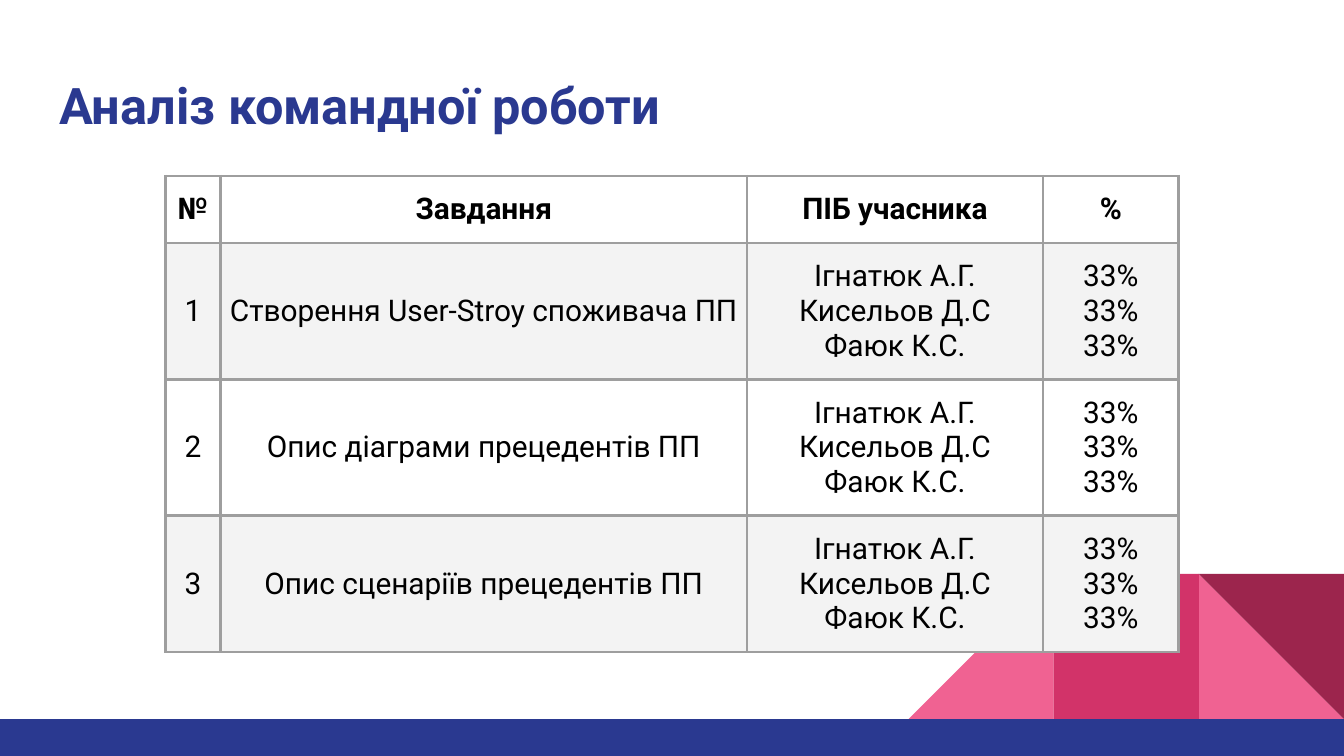
from lxml import etree
from pptx import Presentation, util as u
from pptx.dml.color import RGBColor
from pptx.enum import shapes, text
from pptx.oxml import ns

COLORS = {
    "navy": "2A3990", "pink": "F06292", "rose": "D23369", "wine": "9C254D",
    "black": "000000", "white": "FFFFFF", "stripe": "F3F3F3", "border": "9E9E9E",
}
FONT = "Roboto"
MEMBERS = "Ігнатюк А.Г.\nКисельов Д.С\nФаюк К.С."
SHARES = "\n".join(["33%"] * 3)
HEADER = ["№", "Завдання", "ПІБ учасника", "%"]
TASKS = [
    "Створення User-Stroy споживача ПП",
    "Опис діаграми прецедентів ПП",
    "Опис сценаріїв прецедентів ПП",
]
COLUMN_WIDTHS = [0.41, 3.92, 2.2, 1.01]
HEADER_HEIGHT, TASK_HEIGHT = 0.32, 0.61
TILE = 1.08


def color(name):
    """Return the named colour."""
    return RGBColor.from_string(COLORS[name])


def format_text(frame, size, color_name, bold, alignment):
    """Format every paragraph and run of a text frame."""
    for paragraph in frame.paragraphs:
        paragraph.alignment = alignment
        for run in paragraph.runs:
            run.font.name = FONT
            run.font.size = u.Pt(size)
            run.font.bold = bold
            run.font.color.rgb = color(color_name)


def add_block(slide, kind, left, top, width, height, fill, rotation=0):
    """Add a plain filled shape without a line."""
    shape = slide.shapes.add_shape(
        kind, u.Inches(left), u.Inches(top), u.Inches(width), u.Inches(height))
    shape.shadow.inherit = False
    shape.fill.solid()
    shape.fill.fore_color.rgb = color(fill)
    shape.line.fill.background()
    shape.rotation = rotation


def add_decoration(slide):
    """Add the corner tiles and the bottom bar."""
    triangle = shapes.MSO_SHAPE.RIGHT_TRIANGLE
    rectangle = shapes.MSO_SHAPE.RECTANGLE
    tiles = [
        (triangle, 2, "pink", 0),
        (triangle, 0, "pink", 270),
        (rectangle, 1, "rose", 0),
        (triangle, 2, "wine", 180),
    ]
    for kind, column, fill, rotation in tiles:
        add_block(slide, kind, 6.76 + column * TILE, 4.27, TILE, TILE, fill, rotation)
    add_block(slide, rectangle, 0, 5.35, 10, 0.28, "navy")


def set_title(slide, title):
    """Place and format the slide title."""
    shape = slide.shapes.title
    shape.left, shape.top = u.Inches(0.34), u.Inches(0.45)
    shape.width, shape.height = u.Inches(9.32), u.Inches(0.66)
    frame = shape.text_frame
    frame.text = title
    frame.margin_left = frame.margin_right = u.Inches(0.1)
    frame.margin_top = frame.margin_bottom = u.Inches(0.1)
    frame.vertical_anchor = text.MSO_ANCHOR.MIDDLE
    format_text(frame, 27, "navy", True, text.PP_ALIGN.LEFT)


def set_borders(cell):
    """Draw all four borders of a table cell."""
    properties = cell._tc.get_or_add_tcPr()
    for index, side in enumerate(["lnL", "lnR", "lnT", "lnB"]):
        line = etree.Element(ns.qn(f"a:{side}"), w=str(u.Pt(1.5)))
        fill = etree.SubElement(line, ns.qn("a:solidFill"))
        etree.SubElement(fill, ns.qn("a:srgbClr"), val=COLORS["border"])
        properties.insert(index, line)


def fill_cell(cell, content, fill, bold):
    """Write and format one table cell."""
    cell.text_frame.text = content
    cell.margin_left = cell.margin_right = u.Inches(0.06)
    cell.margin_top = cell.margin_bottom = u.Inches(0.12)
    cell.vertical_anchor = text.MSO_ANCHOR.MIDDLE
    format_text(cell.text_frame, 16, "black", bold, text.PP_ALIGN.CENTER)
    cell.fill.solid()
    cell.fill.fore_color.rgb = color(fill)
    set_borders(cell)


def add_task_table(slide):
    """Add the table of tasks, members and shares."""
    rows = [HEADER] + [
        [str(number), task, MEMBERS, SHARES] for number, task in enumerate(TASKS, 1)]
    heights = [HEADER_HEIGHT] + [TASK_HEIGHT] * len(TASKS)
    table = slide.shapes.add_table(
        len(rows), len(HEADER), u.Inches(1.23), u.Inches(1.31),
        u.Inches(sum(COLUMN_WIDTHS)), u.Inches(sum(heights))).table
    for column, width in zip(table.columns, COLUMN_WIDTHS):
        column.width = u.Inches(width)
    for index, (contents, height) in enumerate(zip(rows, heights)):
        table.rows[index].height = u.Inches(height)
        fill = "stripe" if index % 2 else "white"
        for cell, content in zip(table.rows[index].cells, contents):
            fill_cell(cell, content, fill, index == 0)


def main():
    """Build and save the slide."""
    presentation = Presentation()
    presentation.slide_width = u.Inches(10)
    presentation.slide_height = u.Inches(10) * 9 // 16
    slide = presentation.slides.add_slide(presentation.slide_layouts[5])
    add_decoration(slide)
    set_title(slide, "Аналіз командної роботи")
    add_task_table(slide)
    presentation.save("out.pptx")


if __name__ == "__main__":
    main()
